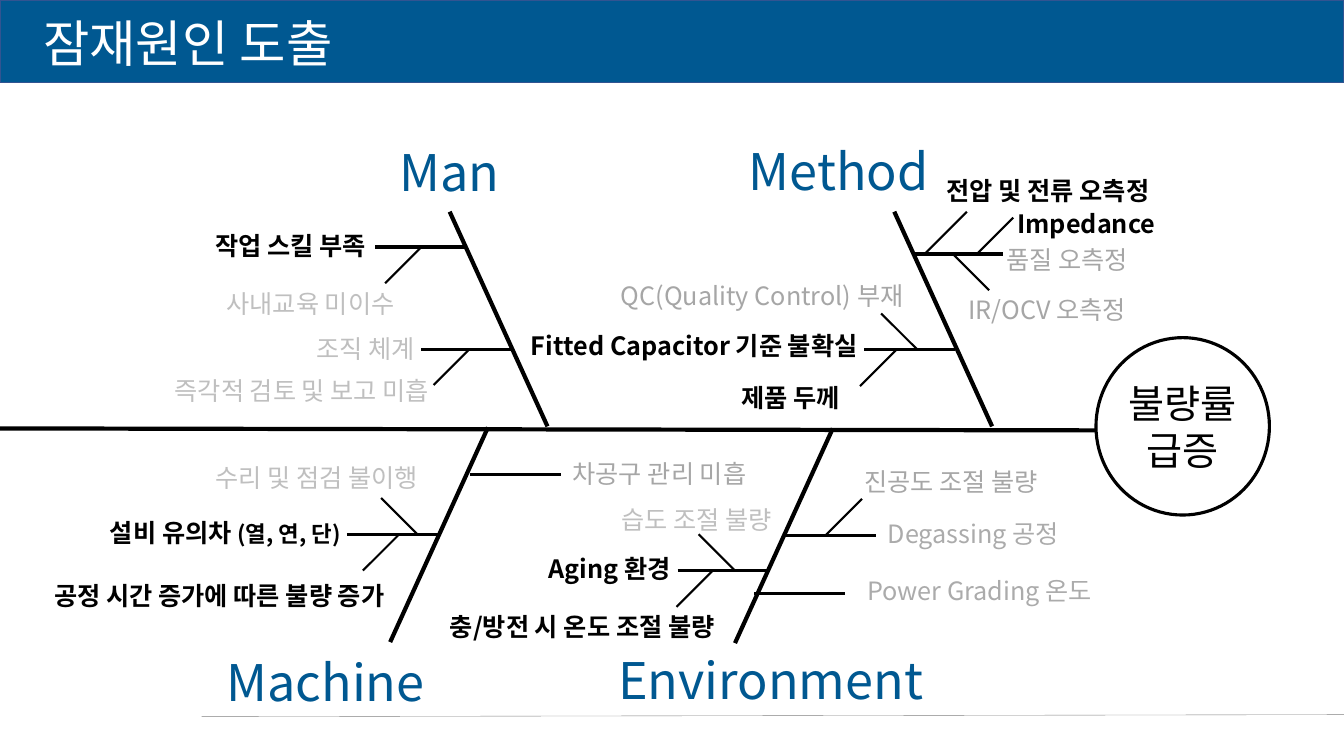
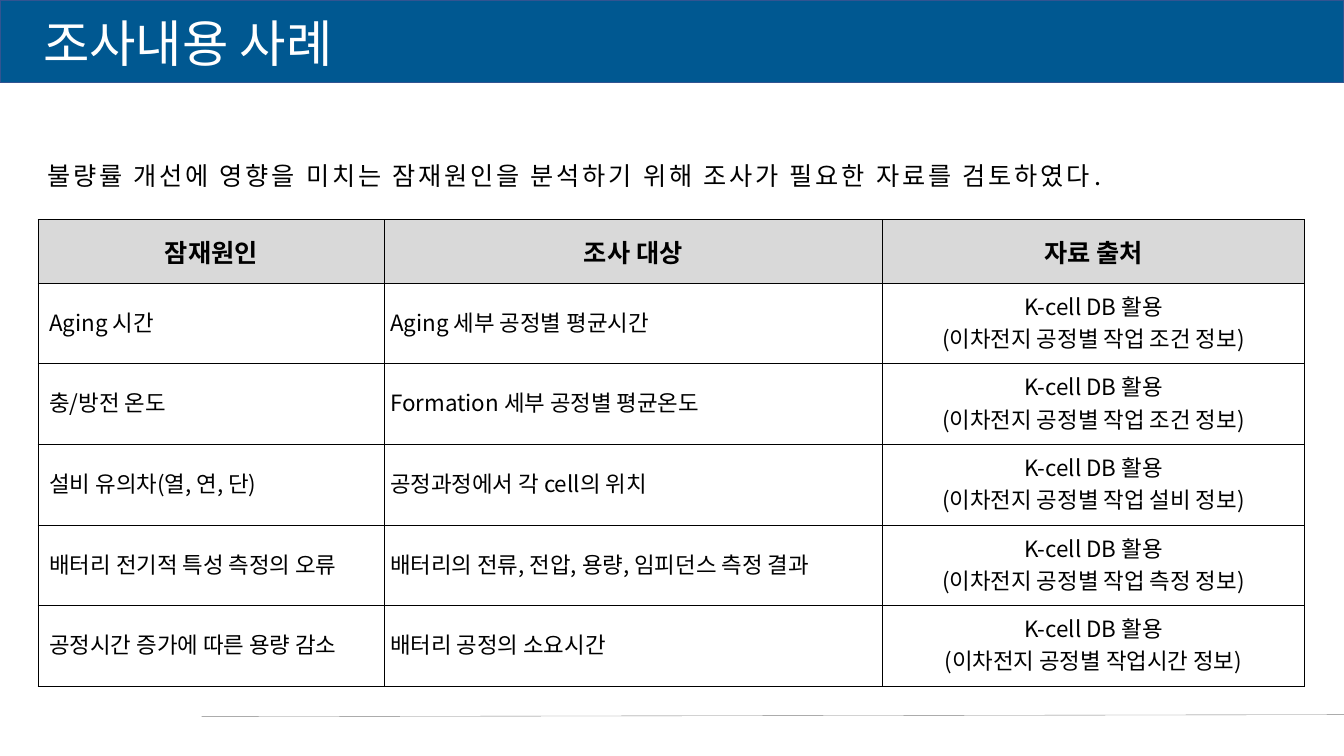
"""Build a fishbone slide of latent causes and a slide listing the data to study."""
from dataclasses import dataclass

from lxml import etree
from pptx import Presentation as Deck
from pptx.dml.color import RGBColor as Rgb
from pptx.enum.shapes import MSO_CONNECTOR as Link, MSO_SHAPE as Form
from pptx.enum.text import MSO_ANCHOR as Anchor, MSO_AUTO_SIZE as Fit, PP_ALIGN as Align
from pptx.oxml.ns import qn
from pptx.slide import Slide
from pptx.table import _Cell as Cell
from pptx.text.text import TextFrame as Frame
from pptx.util import Inches, Pt

FONT = "Noto Sans CJK KR"
BLUE = Rgb(0x00, 0x58, 0x91)
EDGE = Rgb(0x32, 0x54, 0x91)
BLACK = Rgb(0x00, 0x00, 0x00)
WHITE = Rgb(0xFF, 0xFF, 0xFF)
RULE = Rgb(0x80, 0x80, 0x80)
HEAD = Rgb(0xD9, 0xD9, 0xD9)
PALE = Rgb(0xBF, 0xBF, 0xBF)
MID = Rgb(0xA6, 0xA6, 0xA6)
SOFT = Rgb(0xAB, 0xAB, 0xAB)

WIDE, HIGH = 13.33, 7.5
RIB = 0.9
LEAN, RISE = 0.97, 2.13


@dataclass(frozen=True)
class Style:
    size: float
    color: Rgb = BLACK
    bold: bool = False
    align: Align = Align.CENTER
    space: int = 0


@dataclass(frozen=True)
class Label:
    text: str
    left: float
    top: float
    width: float
    color: Rgb = BLACK
    tail: str = ""


@dataclass(frozen=True)
class Twig:
    left: float
    top: float
    across: int
    down: int
    reach: float = 0.36


@dataclass(frozen=True)
class Bone:
    name: str
    left: float
    top: float
    width: float
    foot: tuple[float, float]
    down: int
    ribs: list[tuple[float, float]]
    twigs: list[Twig]
    labels: list[Label]


BONES = [
    Bone("Machine", 1.98, 6.41, 2.5, (4.84, 4.24), 1,
         [(3.44, 5.3), (4.66, 4.71)],
         [Twig(4.14, 5.3, -1, -1), Twig(3.96, 5.3, -1, 1)],
         [Label("설비 유의차 ", 0.85, 5.08, 2.77, tail="(열, 연, 단)"),
          Label("수리 및 점검 불이행", 1.96, 4.54, 2.36, PALE),
          Label("공정 시간 증가에 따른 불량 증가", 0.17, 5.71, 4.01),
          Label("차공구 관리 미흡", 5.5, 4.5, 2.08, MID)]),
    Bone("Environment", 5.6, 6.39, 4.09, (8.26, 4.25), 1,
         [(7.79, 5.31), (6.72, 5.66), (7.48, 5.89)],
         [Twig(8.19, 5.31, 1, -1), Twig(7.29, 5.66, -1, -1), Twig(7.07, 5.66, -1, 1)],
         [Label("Degassing 공정", 8.61, 5.09, 2.09, SOFT),
          Label("진공도 조절 불량", 7.97, 4.58, 2.93, MID),
          Label("Aging 환경", 5.11, 5.44, 1.87),
          Label("습도 조절 불량", 5.28, 4.95, 3.26, PALE),
          Label("충/방전 시 온도 조절 불량", 4.31, 6.02, 2.93),
          Label("Power Grading 온도", 8.32, 5.66, 2.79, SOFT)]),
    Bone("Man", 3.21, 1.35, 2.5, (5.43, 4.23), -1,
         [(3.72, 2.45), (4.18, 3.47)],
         [Twig(4.66, 3.46, -1, 1), Twig(4.18, 2.45, -1, 1)],
         [Label("작업 스킬 부족", 1.95, 2.24, 1.87),
          Label("조직 체계", 2.69, 3.26, 1.87, PALE),
          Label("사내교육 미이수", 1.98, 2.81, 2.2, PALE),
          Label("즉각적 검토 및 보고 미흡", 1.53, 3.67, 2.93, PALE)]),
    Bone("Method", 7.07, 1.34, 2.5, (9.84, 4.23), -1,
         [(8.57, 3.47), (9.05, 2.52)],
         [Twig(8.89, 3.47, -1, 1), Twig(9.1, 3.47, -1, -1), Twig(9.45, 2.52, 1, 1),
          Twig(9.69, 2.52, 1, -1), Twig(9.17, 2.52, 1, -1, 0.42)],
         [Label("Fitted Capacitor 기준 불확실", 4.91, 3.23, 3.95),
          Label("품질 오측정", 9.65, 2.37, 1.87, MID),
          Label("제품 두께", 6.38, 3.74, 2.93),
          Label("QC(Quality Control) 부재", 5.93, 2.73, 3.26, MID),
          Label("IR/OCV 오측정", 8.92, 2.87, 2.93, MID),
          Label("Impedance", 9.31, 2.02, 2.93),
          Label("전압 및 전류 오측정", 8.26, 1.69, 4.27)]),
]

COLS = [3.43, 4.94, 4.19]
ROWS = [0.63] + [0.8] * 5
INDENTS = [0.11, 0.06, 0.01]
HEADS = ["잠재원인", "조사 대상", "자료 출처"]
ITEMS = [
    ("Aging 시간", "Aging 세부 공정별 평균시간", "작업 조건"),
    ("충/방전 온도", "Formation 세부 공정별 평균온도", "작업 조건"),
    ("설비 유의차(열, 연, 단)", "공정과정에서 각 cell의 위치", "작업 설비"),
    ("배터리 전기적 특성 측정의 오류", "배터리의 전류, 전압, 용량, 임피던스 측정 결과", "작업 측정"),
    ("공정시간 증가에 따른 용량 감소", "배터리 공정의 소요시간", "작업시간"),
]


def write(frame: Frame, lines: list[str], style: Style) -> None:
    """Fill a frame with one styled paragraph per line."""
    for index, line in enumerate(lines):
        para = frame.paragraphs[0] if index == 0 else frame.add_paragraph()
        para.add_run().text = line
        para.alignment = style.align
        font = para.font
        font.name, font.size, font.bold = FONT, Pt(style.size), style.bold
        font.color.rgb = style.color
        props = para._p.pPr.find(qn("a:defRPr"))
        etree.SubElement(props, qn("a:ea"), typeface=FONT)
        if style.space:
            props.set("spc", str(style.space * 100))


def put(slide: Slide, text: str, left: float, top: float, width: float,
        height: float, style: Style) -> Frame:
    """Add a wrapping text box and return its frame."""
    box = slide.shapes.add_textbox(Inches(left), Inches(top), Inches(width), Inches(height))
    frame = box.text_frame
    frame.word_wrap = True
    frame.auto_size = Fit.SHAPE_TO_FIT_TEXT
    write(frame, [text], style)
    return frame


def join(slide: Slide, start: tuple[float, float], end: tuple[float, float],
         weight: float, color: Rgb = BLACK) -> None:
    """Draw a straight line without a shadow."""
    line = slide.shapes.add_connector(Link.STRAIGHT, *map(Inches, start + end))
    line.line.width = Pt(weight)
    line.line.color.rgb = color
    etree.SubElement(line._element.spPr, qn("a:effectLst"))


def shape(slide: Slide, form: Form, place: tuple[float, float, float, float],
          fill: Rgb, edge: Rgb, weight: float) -> Frame:
    """Draw a flat shape and return its text frame."""
    item = slide.shapes.add_shape(form, *map(Inches, place))
    item.shadow.inherit = False
    item.fill.solid()
    item.fill.fore_color.rgb = fill
    item.line.color.rgb = edge
    item.line.width = Pt(weight)
    return item.text_frame


def start(deck: Deck, title: str) -> Slide:
    """Add a blank slide with the band, the foot rule and the title."""
    slide = deck.slides.add_slide(deck.slide_layouts[6])
    shape(slide, Form.RECTANGLE, (0, 0, WIDE, 0.82), BLUE, EDGE, 1)
    join(slide, (2, 7.11), (WIDE, 7.09), 0.25, RULE)
    put(slide, title, 0.33, 0.07, 5.5, 0.71, Style(36, WHITE, align=Align.LEFT))
    return slide


def draw(slide: Slide, bone: Bone) -> None:
    """Draw one bone with its ribs, twigs and labels."""
    left, top = bone.foot
    join(slide, bone.foot, (left - LEAN, top + bone.down * RISE), 3)
    put(slide, bone.name, bone.left, bone.top, bone.width, 0.71, Style(36, BLUE))
    for left, top in bone.ribs:
        join(slide, (left, top), (left + RIB, top), 2.25)
    for twig in bone.twigs:
        end = (twig.left + twig.across * twig.reach, twig.top + twig.down * twig.reach)
        join(slide, (twig.left, twig.top), end, 1.5)
    for label in bone.labels:
        style = Style(18, label.color, label.color == BLACK)
        frame = put(slide, label.text, label.left, label.top, label.width, 0.4, style)
        if label.tail:
            run = frame.paragraphs[0].add_run()
            run.text = label.tail
            run.font.size = Pt(16)


def fish(deck: Deck) -> None:
    """Build the fishbone slide."""
    slide = start(deck, "잠재원인 도출")
    join(slide, (-0.09, 4.25), (10.87, 4.27), 3)
    frame = shape(slide, Form.OVAL, (10.87, 3.35, 1.72, 1.76), WHITE, BLACK, 2.25)
    frame.margin_left = frame.margin_right = 0
    frame.vertical_anchor = Anchor.MIDDLE
    write(frame, ["불량률", "급증"], Style(28))
    for bone in BONES:
        draw(slide, bone)


def frame_cell(cell: Cell) -> None:
    """Give a cell thin black borders."""
    props = cell._tc.get_or_add_tcPr()
    for side in ("lnL", "lnR", "lnT", "lnB"):
        line = etree.SubElement(props, qn(f"a:{side}"), w=str(Pt(1)))
        fill = etree.SubElement(line, qn("a:solidFill"))
        etree.SubElement(fill, qn("a:srgbClr"), val=str(BLACK))


def study(deck: Deck) -> None:
    """Build the slide with the table of data to study."""
    slide = start(deck, "조사내용 사례")
    note = "불량률 개선에 영향을 미치는 잠재원인을 분석하기 위해 조사가 필요한 자료를 검토하였다."
    frame = put(slide, note, 0.37, 1.44, 12.57, 0.6, Style(18, align=Align.LEFT, space=2))
    frame.auto_size = Fit.NONE
    frame.vertical_anchor = Anchor.MIDDLE
    table = slide.shapes.add_table(len(ROWS), len(COLS), Inches(0.38), Inches(2.18),
                                   Inches(sum(COLS)), Inches(sum(ROWS))).table
    table.first_row = table.horz_banding = False
    for col, width in zip(table.columns, COLS):
        col.width = Inches(width)
    for row, height in zip(table.rows, ROWS):
        row.height = Inches(height)
    body = [[[cause], [target], ["K-cell DB 활용", f"(이차전지 공정별 {kind} 정보)"]]
            for cause, target, kind in ITEMS]
    for row, texts in enumerate([[[head] for head in HEADS]] + body):
        for col, lines in enumerate(texts):
            cell = table.cell(row, col)
            cell.vertical_anchor = Anchor.MIDDLE
            frame_cell(cell)
            if row == 0:
                cell.fill.solid()
                cell.fill.fore_color.rgb = HEAD
                write(cell.text_frame, lines, Style(18, bold=True))
                continue
            cell.fill.background()
            cell.margin_left = Inches(INDENTS[col])
            cell.margin_right = cell.margin_top = Inches(0.01)
            cell.margin_bottom = Inches(0.05)
            align = Align.CENTER if col == 2 else Align.LEFT
            write(cell.text_frame, lines, Style(16, align=align))


def main() -> None:
    """Build and save the deck."""
    deck = Deck()
    deck.slide_width, deck.slide_height = Inches(WIDE), Inches(HIGH)
    fish(deck)
    study(deck)
    deck.save("out.pptx")


if __name__ == "__main__":
    main()
